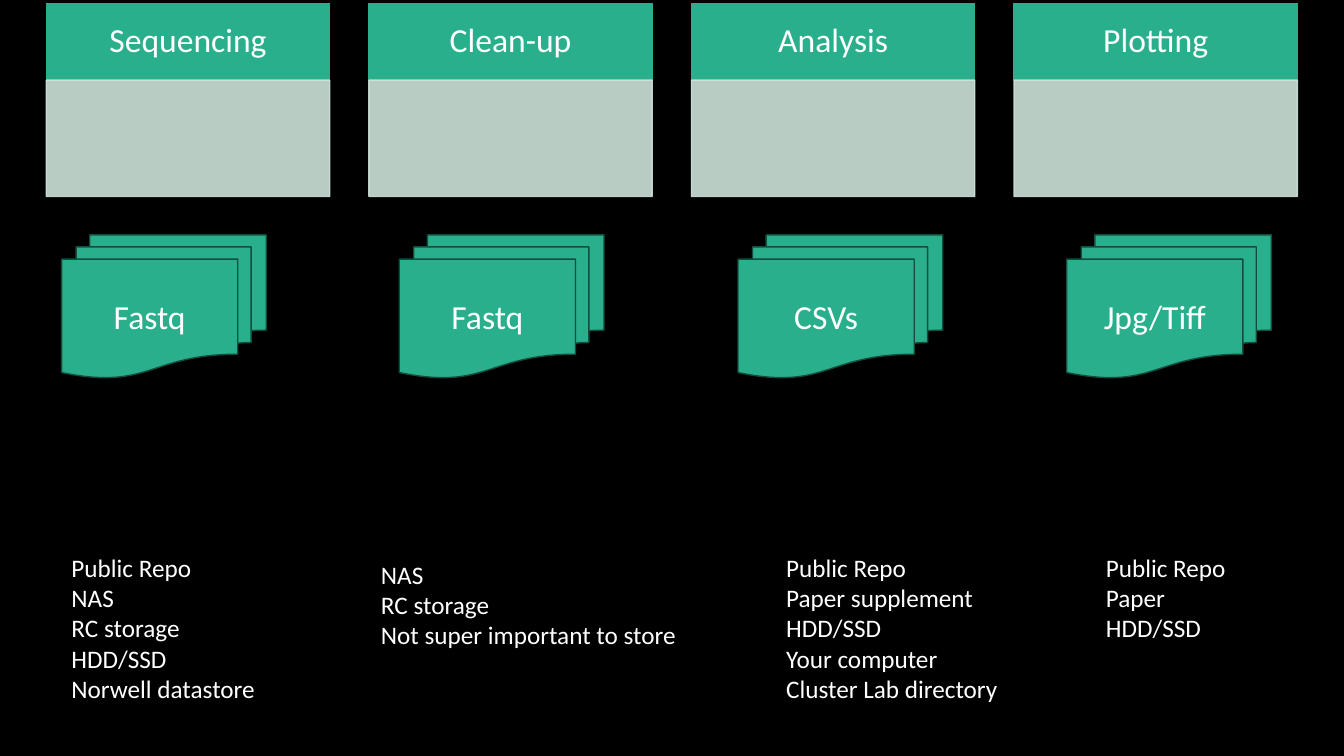
from dataclasses import dataclass

from lxml.etree import SubElement
from pptx import Presentation
from pptx.dml.color import RGBColor
from pptx.enum.shapes import MSO_SHAPE
from pptx.enum.text import MSO_ANCHOR, MSO_AUTO_SIZE, PP_ALIGN
from pptx.oxml.ns import qn
from pptx.shapes.autoshape import Shape
from pptx.slide import Slide
from pptx.text.text import TextFrame
from pptx.util import Emu, Inches, Pt

COLORS = {"back": "000000", "green": "29AF8C", "edge": "124D3D",
          "pale": "CDE3DA", "text": "FFFFFF"}
WIDTH, HEIGHT = Inches(13.33), Inches(7.5)

# Places and sizes are percentages of the slide's width and height.
COLUMN_LEFT, COLUMN_PITCH, COLUMN_WIDTH = 3.45, 24, 21.08
HEADER_TOP, HEADER_HEIGHT = 0.5, 10.1
PANEL_TOP, PANEL_HEIGHT = 10.6, 15.4
FILES_TOP, FILES_WIDTH, FILES_HEIGHT = 31.07, 15.23, 18.93
LINE_HEIGHT, LIST_PADDING = 4.05, 1.33


@dataclass
class Stage:
    title: str
    files: str
    files_left: float
    places: list[str]
    places_left: float
    places_width: float
    places_top: float = 72.4
    wrap: bool = False


STAGES = [
    Stage("Sequencing", "Fastq", 4.58,
          ["Public Repo", "NAS", "RC storage", "HDD/SSD", "Norwell datastore"],
          4.58, 15.53),
    Stage("Clean-up", "Fastq", 29.71,
          ["NAS", "RC storage", "Not super important to store"],
          27.61, 23.71, places_top=73.33),
    Stage("Analysis", "CSVs", 54.91,
          ["Public Repo", "Paper supplement", "HDD/SSD", "Your computer",
           "Cluster Lab directory"],
          57.76, 17.4),
    Stage("Plotting", "Jpg/Tiff", 79.37, ["Public Repo", "Paper", "HDD/SSD"],
          81.55, 11.63, wrap=True),
]


def rgb(name: str) -> RGBColor:
    return RGBColor.from_string(COLORS[name])


def box(left: float, top: float, width: float, height: float) -> list[Emu]:
    """Turn percentages of the slide into lengths."""
    return [Emu(round(share * side / 100)) for share, side in
            ((left, WIDTH), (top, HEIGHT), (width, WIDTH), (height, HEIGHT))]


def write(tf: TextFrame, lines: list[str], *, size: float = 18,
          align: PP_ALIGN = PP_ALIGN.LEFT, anchor: MSO_ANCHOR = MSO_ANCHOR.TOP,
          spacing: float = 1.0, wrap: bool = True) -> None:
    tf.word_wrap = wrap
    tf.vertical_anchor = anchor
    for i, line in enumerate(lines):
        p = tf.paragraphs[0] if i == 0 else tf.add_paragraph()
        p.alignment = align
        p.line_spacing = spacing
        r = p.add_run()
        r.text = line
        r.font.name = "Calibri"
        r.font.size = Pt(size)
        r.font.color.rgb = rgb("text")


def add_block(s: Slide, kind: MSO_SHAPE, place: list[Emu], fill: str, line: str,
              opacity: int = 100) -> Shape:
    sp = s.shapes.add_shape(kind, *place)
    sp.shadow.inherit = False
    sp.fill.solid()
    sp.fill.fore_color.rgb = rgb(fill)
    sp.line.color.rgb = rgb(line)
    sp.line.width = Pt(1)
    if opacity < 100:
        for color in list(sp._element.spPr.iter(qn("a:srgbClr"))):
            SubElement(color, qn("a:alpha")).set("val", str(opacity * 1000))
    return sp


def add_stage(s: Slide, column: int, stage: Stage) -> None:
    left = COLUMN_LEFT + column * COLUMN_PITCH
    centred = {"size": 24, "align": PP_ALIGN.CENTER, "anchor": MSO_ANCHOR.MIDDLE}

    header = add_block(s, MSO_SHAPE.RECTANGLE,
                       box(left, HEADER_TOP, COLUMN_WIDTH, HEADER_HEIGHT),
                       "green", "green")
    tf = header.text_frame
    tf.margin_left = tf.margin_right = Inches(0.19)
    tf.margin_top = tf.margin_bottom = Inches(0.11)
    write(tf, [stage.title], spacing=0.9, **centred)

    add_block(s, MSO_SHAPE.RECTANGLE,
              box(left, PANEL_TOP, COLUMN_WIDTH, PANEL_HEIGHT),
              "pale", "pale", opacity=90)

    files = add_block(s, MSO_SHAPE.FLOWCHART_MULTIDOCUMENT,
                      box(stage.files_left, FILES_TOP, FILES_WIDTH, FILES_HEIGHT),
                      "green", "edge")
    write(files.text_frame, [stage.files], **centred)

    height = LIST_PADDING + LINE_HEIGHT * len(stage.places)
    places = s.shapes.add_textbox(
        *box(stage.places_left, stage.places_top, stage.places_width, height))
    places.text_frame.auto_size = MSO_AUTO_SIZE.SHAPE_TO_FIT_TEXT
    write(places.text_frame, stage.places, wrap=stage.wrap)


def main() -> None:
    prs = Presentation()
    prs.slide_width, prs.slide_height = WIDTH, HEIGHT
    s = prs.slides.add_slide(prs.slide_layouts[6])
    s.background.fill.solid()
    s.background.fill.fore_color.rgb = rgb("back")
    for column, stage in enumerate(STAGES):
        add_stage(s, column, stage)
    prs.save("out.pptx")


if __name__ == "__main__":
    main()
